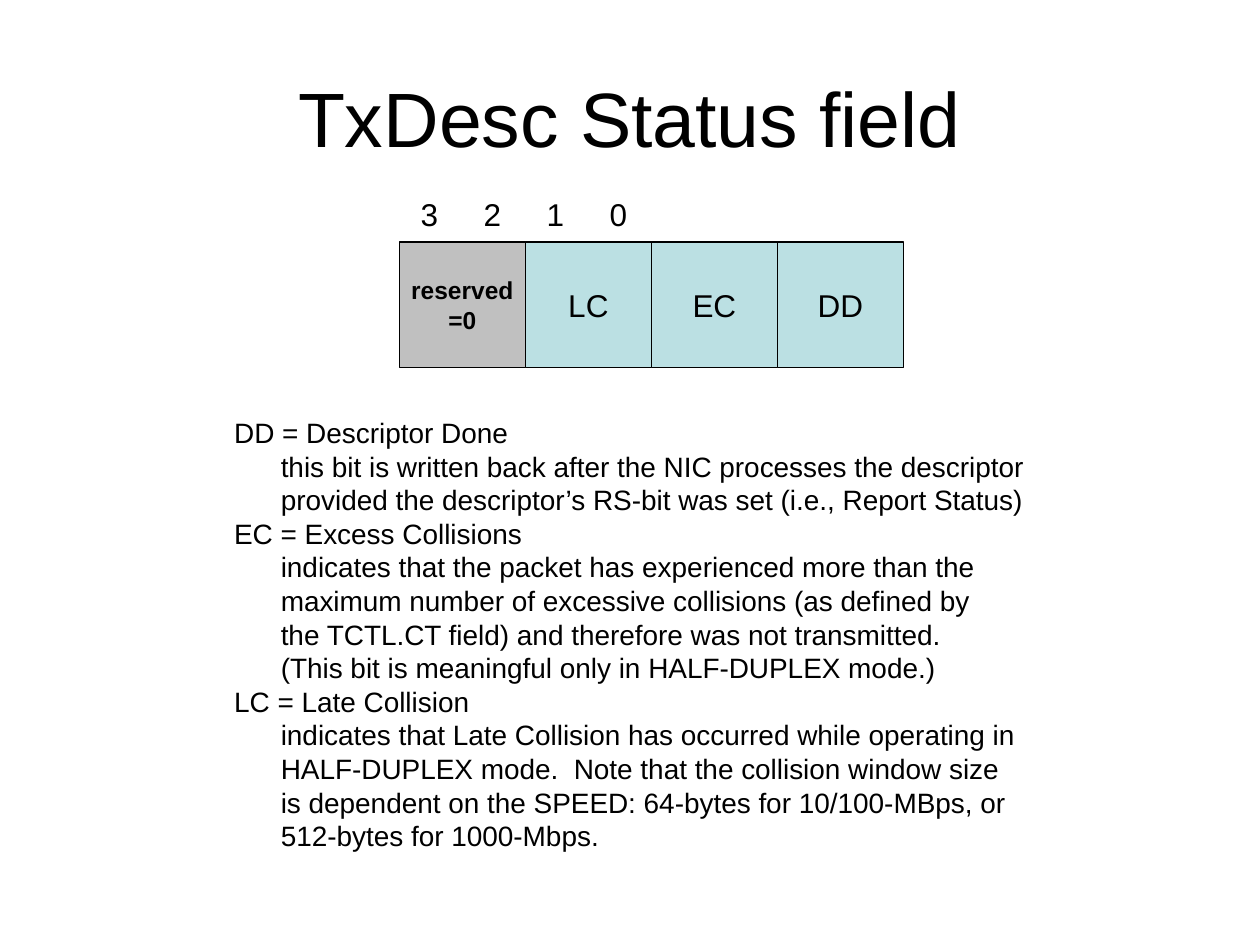
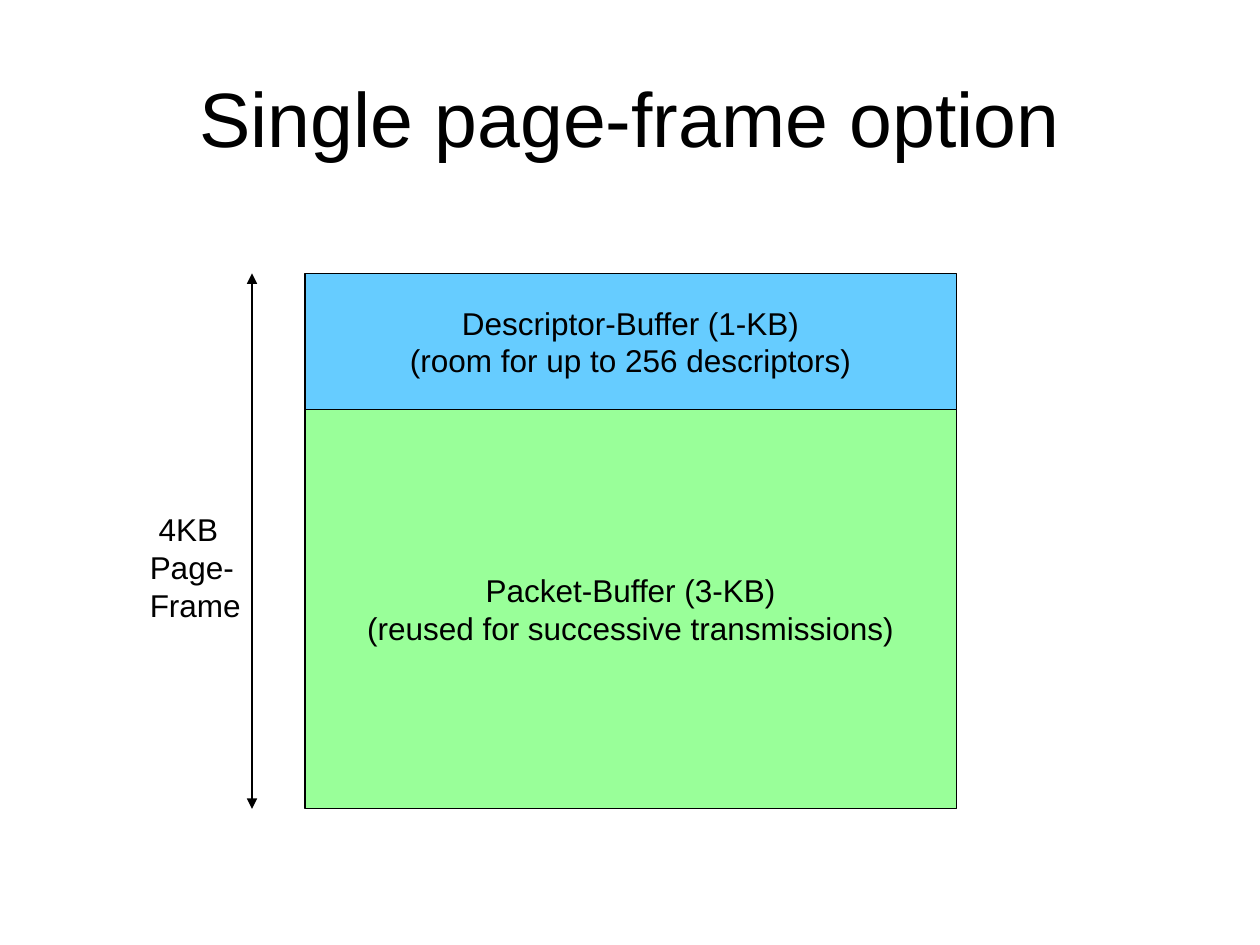
from dataclasses import dataclass

from lxml import etree
from pptx import Presentation
from pptx.dml.color import RGBColor
from pptx.enum import shapes, text
from pptx.oxml import ns
from pptx.util import Inches, Pt

FONT = "Arial"
BLACK = RGBColor(0x00, 0x00, 0x00)
GRAY = RGBColor(0xC0, 0xC0, 0xC0)
TEAL = RGBColor(0xBB, 0xE0, 0xE3)
BLUE = RGBColor(0x66, 0xCC, 0xFF)
GREEN = RGBColor(0x99, 0xFF, 0x99)
LINE_WIDTH = Pt(0.75)
TITLE_ONLY = 5


@dataclass
class Box:
    label: str
    left: float
    top: float
    width: float
    height: float
    fill: RGBColor
    size: int = 18
    bold: bool = False


@dataclass
class Line:
    label: str
    indent: float = 0


def format_text(tf, size: int, align, bold: bool = False) -> None:
    for p in tf.paragraphs:
        p.alignment = align
        for r in p.runs:
            r.font.name = FONT
            r.font.size = Pt(size)
            r.font.bold = bold
            r.font.color.rgb = BLACK


def add_titled_slide(prs, title: str):
    s = prs.slides.add_slide(prs.slide_layouts[TITLE_ONLY])
    sp = s.shapes.title
    sp.left, sp.top, sp.width, sp.height = map(Inches, (0.5, 0.3, 9, 1.25))
    tf = sp.text_frame
    tf.text = title
    tf.auto_size = text.MSO_AUTO_SIZE.NONE
    tf.vertical_anchor = text.MSO_ANCHOR.MIDDLE
    format_text(tf, 44, text.PP_ALIGN.CENTER)
    return s


def add_box(s, box: Box) -> None:
    sp = s.shapes.add_shape(
        shapes.MSO_SHAPE.RECTANGLE,
        Inches(box.left), Inches(box.top), Inches(box.width), Inches(box.height))
    sp.shadow.inherit = False
    sp.fill.solid()
    sp.fill.fore_color.rgb = box.fill
    sp.line.color.rgb = BLACK
    sp.line.width = LINE_WIDTH
    tf = sp.text_frame
    tf.text = box.label
    tf.word_wrap = False
    tf.vertical_anchor = text.MSO_ANCHOR.MIDDLE
    format_text(tf, box.size, text.PP_ALIGN.CENTER, box.bold)


def add_lines(s, lines: list[Line], left: float, top: float,
              width: float, height: float, size: int = 18):
    sp = s.shapes.add_textbox(Inches(left), Inches(top), Inches(width), Inches(height))
    tf = sp.text_frame
    tf.word_wrap = True
    tf.text = "\n".join(line.label for line in lines)
    for p, line in zip(tf.paragraphs, lines):
        p_pr = p._p.get_or_add_pPr()
        p_pr.set("marL", str(Inches(line.indent)))
        p_pr.set("indent", "0")
    format_text(tf, size, text.PP_ALIGN.LEFT)
    return sp


def add_tab_stops(p, stops: list[float]) -> None:
    tabs = etree.SubElement(p._p.get_or_add_pPr(), ns.qn("a:tabLst"))
    for stop in stops:
        etree.SubElement(tabs, ns.qn("a:tab"), pos=str(Inches(stop)), algn="l")


def add_double_arrow(s, x: float, top: float, bottom: float) -> None:
    arrow = s.shapes.add_connector(
        shapes.MSO_CONNECTOR.STRAIGHT, Inches(x), Inches(top), Inches(x), Inches(bottom))
    arrow.line.color.rgb = BLACK
    arrow.line.width = LINE_WIDTH
    ln = arrow.line._get_or_add_ln()
    for end in ("a:headEnd", "a:tailEnd"):
        etree.SubElement(ln, ns.qn(end), type="triangle")
    etree.SubElement(arrow._element.spPr, ns.qn("a:effectLst"))


def build_status_slide(prs) -> None:
    s = add_titled_slide(prs, "TxDesc Status field")

    # Bit cells, highest bit first
    left, top, side = 3.17, 1.92, 1
    add_box(s, Box("reserved\n=0", left, top, side, side, GRAY, 14, True))
    for i, name in enumerate(("LC", "EC", "DD"), start=1):
        add_box(s, Box(name, left + i * side, top, side, side, TEAL))

    # Bit numbers above the cells
    bits = add_lines(s, [Line("3\t2\t1\t0", 0.07)], left, 1.5, 4.16, 0.4)
    add_tab_stops(bits.text_frame.paragraphs[0], [1.04, 2.01, 3.05])

    # Meaning of each bit
    meanings = {
        "DD = Descriptor Done": (
            "this bit is written back after the NIC processes the descriptor",
            "provided the descriptor’s RS-bit was set (i.e., Report Status)"),
        "EC = Excess Collisions": (
            "indicates that the packet has experienced more than the",
            "maximum number of excessive collisions (as defined by",
            "the TCTL.CT field) and therefore was not transmitted.",
            "(This bit is meaningful only in HALF-DUPLEX mode.)"),
        "LC = Late Collision": (
            "indicates that Late Collision has occurred while operating in",
            "HALF-DUPLEX mode.  Note that the collision window size",
            "is dependent on the SPEED: 64-bytes for 10/100-MBps, or",
            "512-bytes for 1000-Mbps."),
    }
    lines = []
    for term, details in meanings.items():
        lines.append(Line(term))
        lines += [Line(detail, 0.37) for detail in details]
    add_lines(s, lines, 1.76, 3.25, 6.55, 3.57, 16)


def build_page_frame_slide(prs) -> None:
    s = add_titled_slide(prs, "Single page-frame option")
    left, width = 2.42, 5.17
    top, middle, bottom = 2.17, 3.25, 6.42

    # Buffers inside the page-frame
    add_box(s, Box("Packet-Buffer (3-KB)\n(reused for successive transmissions)",
                   left, middle, width, bottom - middle, GREEN))
    add_box(s, Box("Descriptor-Buffer (1-KB)\n(room for up to 256 descriptors)",
                   left, top, width, middle - top, BLUE))

    # Size of the whole frame
    add_lines(s, [Line("4KB", 0.07), Line("Page-"), Line("Frame")], 1.09, 4, 0.95, 1)
    add_double_arrow(s, 2, top, bottom)


def main() -> None:
    prs = Presentation()
    prs.slide_width, prs.slide_height = Inches(10), Inches(7.5)
    build_status_slide(prs)
    build_page_frame_slide(prs)
    prs.save("out.pptx")


if __name__ == "__main__":
    main()
